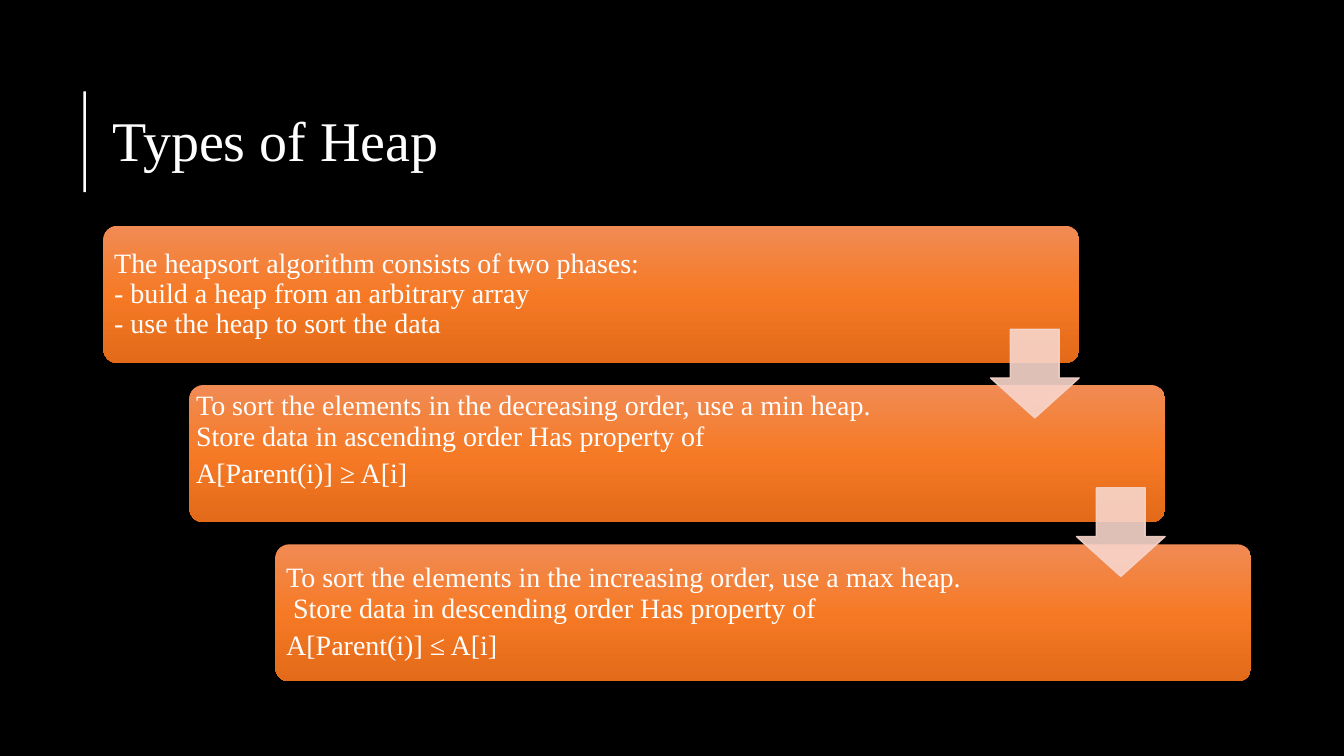
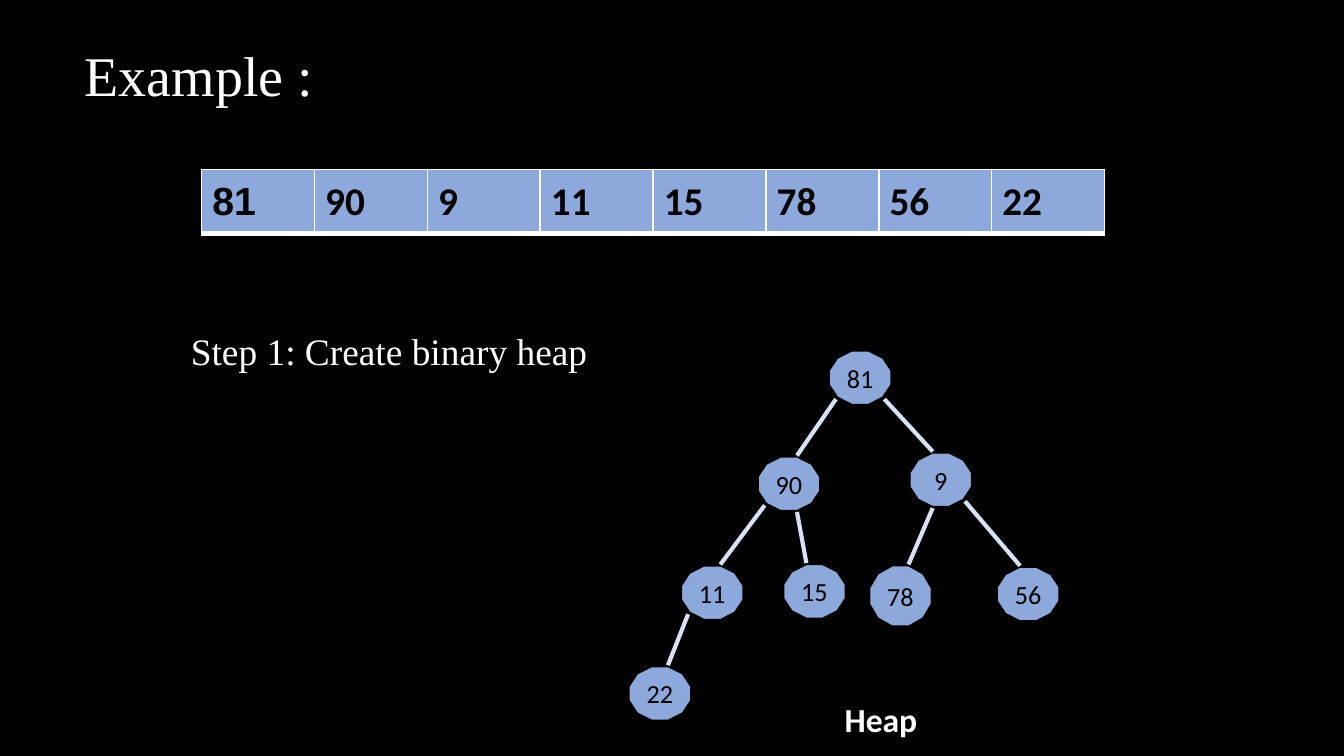
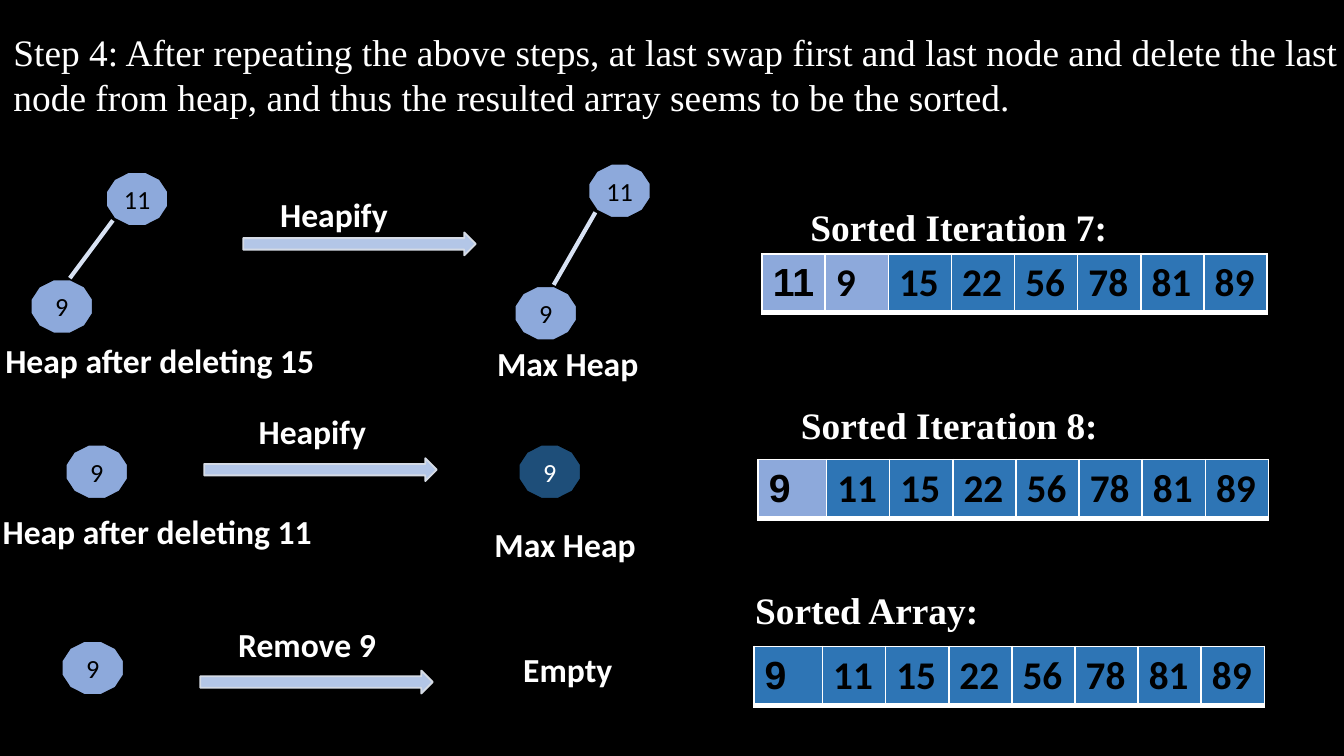
from copy import deepcopy

from pptx import Presentation
from pptx import util as u
from pptx.dml.color import RGBColor
from pptx.enum import shapes, text
from pptx.oxml import parse_xml
from pptx.oxml.ns import nsdecls, qn

# Shared look
rgb = RGBColor.from_string
BLACK, WHITE = "000000", "FFFFFF"
HEAP_BLUE, SORTED_BLUE, FINAL_BLUE, EDGE_BLUE = "8DA9DB", "2E75B5", "1E4E79", "D8E2F3"
SERIF, SANS = "Times New Roman", "Calibri"
LEFT, CENTER = text.PP_ALIGN.LEFT, text.PP_ALIGN.CENTER
TOP, MIDDLE = text.MSO_ANCHOR.TOP, text.MSO_ANCHOR.MIDDLE
SHAPE = shapes.MSO_SHAPE

deck = Presentation()
deck.slide_width, deck.slide_height = u.Inches(10), u.Inches(5.625)
GRID = deck.slide_width // 100  # square cells, 100 columns by 56.25 rows


def cells(*lengths):
    return [u.Emu(round(length * GRID)) for length in lengths]


def write(frame, lines, size, face=SERIF, colour=WHITE, bold=False, align=LEFT,
          anchor=TOP, spacing=None, inset=(0.7, 0.4)):
    frame.word_wrap = True
    frame.auto_size = text.MSO_AUTO_SIZE.NONE
    frame.vertical_anchor = anchor
    frame.margin_left, frame.margin_top = cells(*inset)
    frame.margin_right, frame.margin_bottom = cells(*inset)
    for index, line in enumerate(lines):
        para = frame.add_paragraph() if index else frame.paragraphs[0]
        para.text = line
        para.alignment = align
        para.line_spacing = spacing
        if index:
            para.space_before = u.Pt(4)
        para.font.size, para.font.name, para.font.bold = u.Pt(size), face, bold
        para.font.color.rgb = rgb(colour)


# Pages and their titles
pages = []
for heading, at, size, anchor, spacing in [
    ("Types of Heap", (7.7, 5.8, 85.4, 9.8), 30, MIDDLE, 0.9),
    ("Example :", (5.6, 2.6, 41, 5.8), 30, TOP, None),
    ("Step 4: After repeating the above steps, at last swap first and last node and "
     "delete the last node from heap, and thus the resulted array seems to be the sorted.",
     (0.3, 1.8, 101, 7.5), 20, TOP, None),
]:
    page = deck.slides.add_slide(deck.slide_layouts[5])
    page.background.fill.solid()
    page.background.fill.fore_color.rgb = rgb(BLACK)
    title = page.shapes.title
    title.left, title.top, title.width, title.height = cells(*at)
    write(title.text_frame, [heading], size, anchor=anchor, spacing=spacing)
    pages.append(page)
types_page, example_page, result_page = pages

# Types of Heap: backdrop and title bar
for at, colour in [((0, 0, 100, 56.25), BLACK), ((6.2, 6.8, 0.2, 7.5), WHITE)]:
    panel = types_page.shapes.add_shape(SHAPE.RECTANGLE, *cells(*at))
    panel.shadow.inherit = False
    panel.fill.solid()
    panel.fill.fore_color.rgb = rgb(colour)
    panel.line.fill.background()
    if colour == BLACK:
        types_page.shapes._spTree.insert(2, panel._element)

# Types of Heap: staircase of cards
CARD_LEFT, CARD_TOP, STEP_X, STEP_Y = 7.7, 16.8, 6.4, 11.85
for step, (lines, indent, width, anchor, inset) in enumerate([
    (["The heapsort algorithm consists of two phases:\n"
      "- build a heap from an arbitrary array\n- use the heap to sort the data"],
     0.3, 61.6, MIDDLE, (0.5, 0.5)),
    (["To sort the elements in the decreasing order, use a min heap.\n"
      "Store data in ascending order Has property of", "A[Parent(i)] ≥ A[i]"],
     0, 59, TOP, (0.5, 0.2)),
    (["To sort the elements in the increasing order, use a max heap.\n"
      " Store data in descending order Has property of", "A[Parent(i)] ≤ A[i]"],
     0.3, 59, MIDDLE, (0.5, 0.5)),
]):
    left, top = CARD_LEFT + step * STEP_X, CARD_TOP + step * STEP_Y
    card = types_page.shapes.add_shape(SHAPE.ROUNDED_RECTANGLE, *cells(left, top, 72.6, 10.2))
    card.adjustments[0] = 0.1
    card.shadow.inherit = False
    card.line.fill.background()
    card.fill.gradient()
    card.fill.gradient_angle = 270
    stop_list = card._element.spPr.find(".//" + qn("a:gsLst"))
    stop_list.append(deepcopy(stop_list[1]))
    stops = [(0, "F08B54"), (0.5, "F67A26"), (1, "E36A18")]
    for stop, (position, colour) in zip(card.fill.gradient_stops, stops):
        stop.position, stop.color.rgb = position, rgb(colour)
    box = types_page.shapes.add_textbox(*cells(left + indent, top + 0.3, width, 9.6))
    write(box.text_frame, lines, 15, anchor=anchor, spacing=0.9, inset=inset)

# Arrows: between the cards, and from heap to heap
flow = (SHAPE.DOWN_ARROW, 6.6, 6.6, (0.55, 0.45), "F7D5CB", "F7D5CB", 0.75)
heapify = (SHAPE.RIGHT_ARROW, 17.3, 1.7, (0.5, 0.5), "B3C6E7", "D5DBE5", 1)
for page, left, top, (kind, width, height, bends, colour, edge, weight) in [
    (types_page, 73.7, 24.5, flow), (types_page, 80.1, 36.3, flow),
    (result_page, 18.1, 17.3, heapify), (result_page, 15.2, 34.1, heapify),
    (result_page, 14.9, 49.9, heapify),
]:
    arrow = page.shapes.add_shape(kind, *cells(left, top, width, height))
    arrow.adjustments[0], arrow.adjustments[1] = bends
    arrow.shadow.inherit = False
    arrow.fill.solid()
    arrow.fill.fore_color.rgb = rgb(colour)
    arrow.line.color.rgb = rgb(edge)
    arrow.line.width = u.Pt(weight)
    if kind == SHAPE.DOWN_ARROW:
        for tint in arrow._element.spPr.iter(qn("a:srgbClr")):
            tint.append(parse_xml(f'<a:alpha {nsdecls("a")} val="90000"/>'))

# Heaps: value, left, top, height, index of the parent node, fill
NODE_W, NODE_H = 4.8, 4.2
heaps = [
    (example_page, [
        ("81", 61.6, 26, NODE_H, None, HEAP_BLUE),
        ("90", 56.3, 33.9, NODE_H, 0, HEAP_BLUE),
        ("9", 67.6, 33.6, NODE_H, 0, HEAP_BLUE),
        ("11", 50.6, 42, NODE_H, 1, HEAP_BLUE),
        ("15", 58.2, 41.9, NODE_H, 1, HEAP_BLUE),
        ("78", 64.6, 42, 4.7, 2, HEAP_BLUE),
        ("56", 74.1, 42.1, NODE_H, 2, HEAP_BLUE),
        ("22", 46.7, 49.5, NODE_H, 3, HEAP_BLUE),
    ]),
    (result_page, [("11", 7.8, 12.7, NODE_H, None, HEAP_BLUE),
                   ("9", 2.2, 20.7, NODE_H, 0, HEAP_BLUE)]),
    (result_page, [("11", 43.7, 12.1, NODE_H, None, HEAP_BLUE),
                   ("9", 38.2, 21.2, NODE_H, 0, HEAP_BLUE)]),
    (result_page, [("9", 4.8, 33, NODE_H, None, HEAP_BLUE)]),
    (result_page, [("9", 38.5, 33, NODE_H, None, FINAL_BLUE)]),
    (result_page, [("9", 4.5, 47.6, NODE_H, None, HEAP_BLUE)]),
]
for page, nodes in heaps:
    for value, left, top, height, parent, colour in nodes:
        node = page.shapes.add_shape(SHAPE.DODECAGON, *cells(left, top, NODE_W, height))
        node.shadow.inherit = False
        node.fill.solid()
        node.fill.fore_color.rgb = rgb(colour)
        node.line.color.rgb = rgb(BLACK)
        node.line.width = u.Pt(2.25)
        write(node.text_frame, [value], 14, SANS, WHITE if colour == FINAL_BLUE else BLACK,
              align=CENTER, anchor=MIDDLE, inset=(0.7, 0))
        if parent is None:
            continue
        # An edge leaves the parent's shoulder, or its foot when the child is close below
        parent_left, parent_top = nodes[parent][1:3]
        shift = left - parent_left
        side = 1 if shift > 0 else -1
        out_x, out_y = (0.6, NODE_H) if abs(shift) < 3.5 else (1.8, 3.7)
        edge = page.shapes.add_connector(
            shapes.MSO_CONNECTOR.STRAIGHT,
            *cells(parent_left + NODE_W / 2 + side * out_x, parent_top + out_y,
                   left + NODE_W / 2 - side * 0.6, top))
        edge.line.color.rgb = rgb(EDGE_BLUE)
        edge.line.width = u.Pt(2.25)
        edge._element.spPr.append(parse_xml(f'<a:effectLst {nsdecls("a")}/>'))

# Arrays: left, top, first and other column widths, row height, unsorted count, values
for page, left, top, first, other, height, unsorted, values in [
    (example_page, 15, 12.6, 8.4, 8.4, 4.8, 8, "81 90 9 11 15 78 56 22"),
    (result_page, 56.7, 18.9, 4.7, 4.7, 3.5, 2, "11 9 15 22 56 78 81 89"),
    (result_page, 56.4, 34.2, 5.1, 4.7, 3.5, 1, "9 11 15 22 56 78 81 89"),
    (result_page, 56.1, 48.1, 5.1, 4.7, 3.5, 0, "9 11 15 22 56 78 81 89"),
]:
    values = values.split()
    widths = [first] + [other] * (len(values) - 1)
    array = page.shapes.add_table(1, len(values), *cells(left, top, sum(widths), height)).table
    array.first_row = array.horz_banding = False
    for index, value in enumerate(values):
        array.columns[index].width = cells(widths[index])[0]
        cell = array.cell(0, index)
        cell.text = value
        cell.vertical_anchor = MIDDLE
        cell.margin_left, cell.margin_top, cell.margin_right, cell.margin_bottom = cells(
            0.8, 0.4, 0.8, 0.4)
        cell.fill.solid()
        cell.fill.fore_color.rgb = rgb(HEAP_BLUE if index < unsorted else SORTED_BLUE)
        font = cell.text_frame.paragraphs[0].font
        font.size, font.bold, font.name = u.Pt(21), True, SANS if index else "Arial"
        font.color.rgb = rgb(BLACK)
        for place, (edge, weight) in enumerate([("L", 1), ("R", 1), ("T", 1), ("B", 3)]):
            cell._tc.tcPr.insert(place, parse_xml(
                f'<a:ln{edge} {nsdecls("a")} w="{u.Pt(weight)}"><a:solidFill>'
                f'<a:srgbClr val="{WHITE}"/></a:solidFill></a:ln{edge}>'))

# Labels
caption = (3.8, 18, SANS, True, CENTER)
array_name = (4.1, 20, SERIF, True, CENTER)
step_name = (4.1, 20, SERIF, False, LEFT)
for page, label, left, top, width, (height, size, face, bold, align) in [
    (example_page, "Heap", 56.9, 51.6, 17.3, caption),
    (example_page, "Step 1: Create binary heap", 13.5, 24, 47.1, step_name),
    (result_page, "Heap after deleting 15", -1.5, 24.9, 26.8, caption),
    (result_page, "Max Heap", 33.6, 25.1, 17.3, caption),
    (result_page, "Heapify", 16.2, 14, 17.3, caption),
    (result_page, "Heap after deleting 11", -1.7, 37.6, 26.8, caption),
    (result_page, "Max Heap", 33.4, 38.6, 17.3, caption),
    (result_page, "Heapify", 14.6, 30.2, 17.3, caption),
    (result_page, "Remove 9", 14.2, 46, 17.3, caption),
    (result_page, "Empty", 33.6, 47.9, 17.3, caption),
    (result_page, "Sorted Iteration 7:", 55.3, 14.8, 32.1, array_name),
    (result_page, "Sorted Iteration 8:", 55.3, 29.5, 30.7, array_name),
    (result_page, "Sorted Array:", 53.2, 43.3, 22.6, array_name),
]:
    box = page.shapes.add_textbox(*cells(left, top, width, height))
    write(box.text_frame, [label], size, face, bold=bold, align=align)

deck.save("out.pptx")
